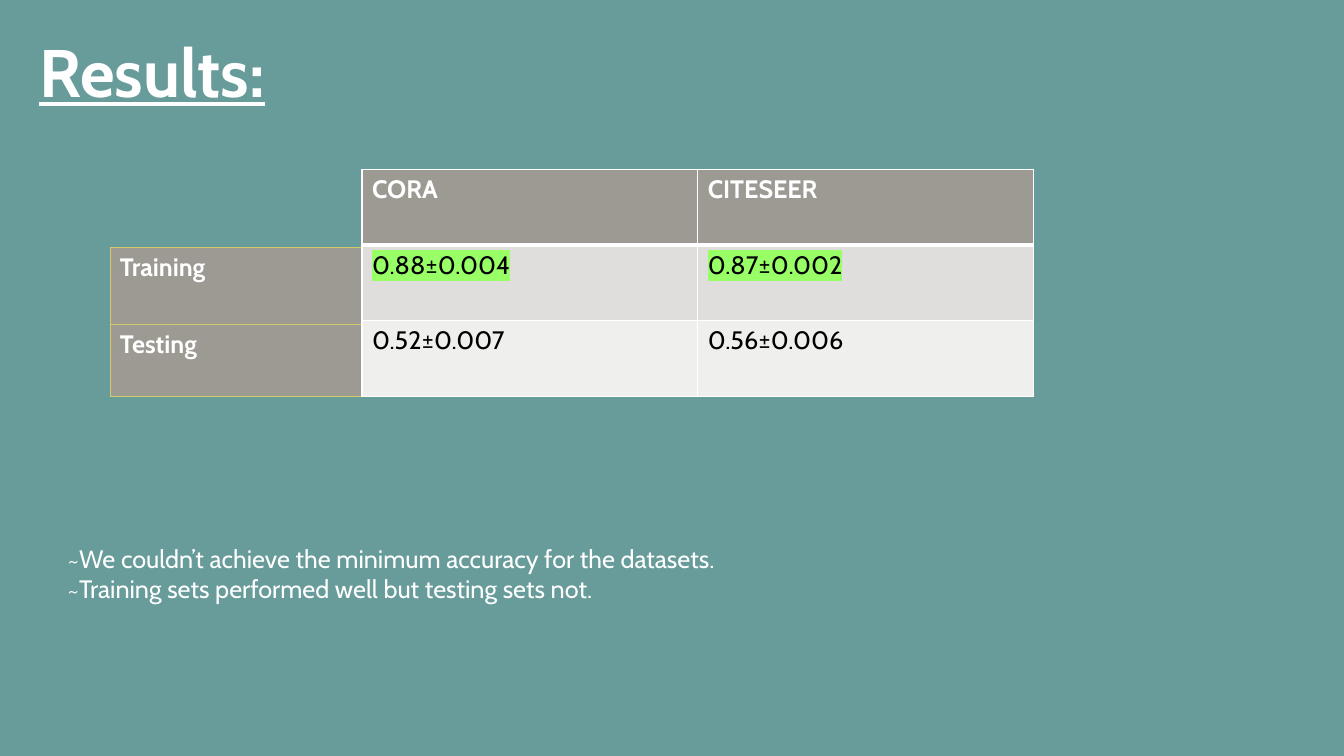
import pptx
import pptx.dml.color
import pptx.enum.text
import pptx.oxml
import pptx.oxml.ns
import pptx.util
from lxml import etree

COLORS = {"back": "689C9A", "white": "FFFFFF", "black": "000000", "head": "9D9A93",
          "band": "DFDEDC", "light": "EFEFEE", "gold": "D2CB6C", "mark": "99FF66"}
FONT = "Cabin"
WIDTH, HEIGHT = 13.33, 7.5

TITLE = "Results:"
NOTES = ["~We couldn’t achieve the minimum accuracy for the datasets.",
         "~Training sets performed well but testing sets not."]
SCORES = [["CORA", "CITESEER"],
          ["0.88±0.004", "0.87±0.002"],
          ["0.52±0.007", "0.56±0.006"]]
HEADING = {"fill": "head", "color": "white", "bold": True}
SCORE_ROWS = [HEADING,
              {"fill": "band", "color": "black", "bold": False, "mark": "mark"},
              {"fill": "light", "color": "black", "bold": False}]

SCORE_LEFT, SCORE_TOP, COL, ROW = 3.59, 1.68, 3.33, 0.75
LABEL_LEFT = 1.09
LABELS = [("Training", 2.45, 2.5, 0.78), ("Testing", 3.22, 2.49, 0.71)]
TITLE_BOX = (0.29, 0.25, 10.43, 0.91)
NOTES_BOX = (0.57, 5.34, 9.88, 0.71)


def rgb(name):
    return pptx.dml.color.RGBColor.from_string(COLORS[name])


def write(p, text, size=18, color="white", bold=False, underline=False, mark=None):
    r = p.add_run()
    r.text = text
    formats = {"name": FONT, "size": pptx.util.Pt(size), "bold": bold}
    if underline:
        formats["underline"] = True
    for key, value in formats.items():
        setattr(r.font, key, value)
    r.font.color.rgb = rgb(color)
    if mark:
        fill = r.font._element.find(pptx.oxml.ns.qn("a:solidFill"))
        fill.addnext(pptx.oxml.parse_xml(
            f'<a:highlight {pptx.oxml.ns.nsdecls("a")}>'
            f'<a:srgbClr val="{COLORS[mark]}"/></a:highlight>'))


def border(cell, color, widths):
    """Draw the cell's sides; widths maps L, R, T, B to points."""
    props = cell._tc.get_or_add_tcPr()
    for side, width in widths.items():
        line = etree.SubElement(props, pptx.oxml.ns.qn(f"a:ln{side}"),
                                w=str(pptx.util.Pt(width)))
        fill = etree.SubElement(line, pptx.oxml.ns.qn("a:solidFill"))
        etree.SubElement(fill, pptx.oxml.ns.qn("a:srgbClr"), val=COLORS[color])


def add_grid(s, texts, box, styles, line, width, head_width):
    """Add a table; head_width is the line under the first of several rows."""
    rows, cols = len(texts), len(texts[0])
    table = s.shapes.add_table(rows, cols, *map(pptx.util.Inches, box)).table
    table.first_row = table.horz_banding = False
    for i, (row, style) in enumerate(zip(texts, styles)):
        for j, text in enumerate(row):
            cell = table.cell(i, j)
            border(cell, line, {"L": width, "R": width,
                                "T": head_width if i == 1 else width,
                                "B": head_width if i == 0 else width})
            cell.fill.solid()
            cell.fill.fore_color.rgb = rgb(style["fill"])
            write(cell.text_frame.paragraphs[0], text,
                  **{k: v for k, v in style.items() if k != "fill"})


def fill_placeholder(sp, box, lines, **style):
    for key, value in zip(("left", "top", "width", "height"), box):
        setattr(sp, key, pptx.util.Inches(value))
    tf = sp.text_frame
    formats = {"word_wrap": True, "auto_size": pptx.enum.text.MSO_AUTO_SIZE.NONE,
               "vertical_anchor": pptx.enum.text.MSO_ANCHOR.TOP}
    for key, value in formats.items():
        setattr(tf, key, value)
    for i, line in enumerate(lines):
        p = tf.add_paragraph() if i else tf.paragraphs[0]
        p.alignment = pptx.enum.text.PP_ALIGN.LEFT
        p.space_before = pptx.util.Pt(0)
        props = p._p.get_or_add_pPr()
        props.set("marL", "0")
        props.set("indent", "0")
        etree.SubElement(props, pptx.oxml.ns.qn("a:buNone"))
        write(p, line, **style)


def main():
    prs = pptx.Presentation()
    prs.slide_width = pptx.util.Inches(WIDTH)
    prs.slide_height = pptx.util.Inches(HEIGHT)
    s = prs.slides.add_slide(prs.slide_layouts[1])
    s.background.fill.solid()
    s.background.fill.fore_color.rgb = rgb("back")

    fill_placeholder(s.shapes.title, TITLE_BOX, [TITLE], size=48, bold=True, underline=True)
    fill_placeholder(s.placeholders[1], NOTES_BOX, NOTES)
    for text, top, width, height in LABELS:
        add_grid(s, [[text]], (LABEL_LEFT, top, width, height), [HEADING], "gold", 0.5, 0.5)
    score_box = (SCORE_LEFT, SCORE_TOP, COL * len(SCORES[0]), ROW * len(SCORES))
    add_grid(s, SCORES, score_box, SCORE_ROWS, "white", 1, 3)
    prs.save("out.pptx")


if __name__ == "__main__":
    main()
